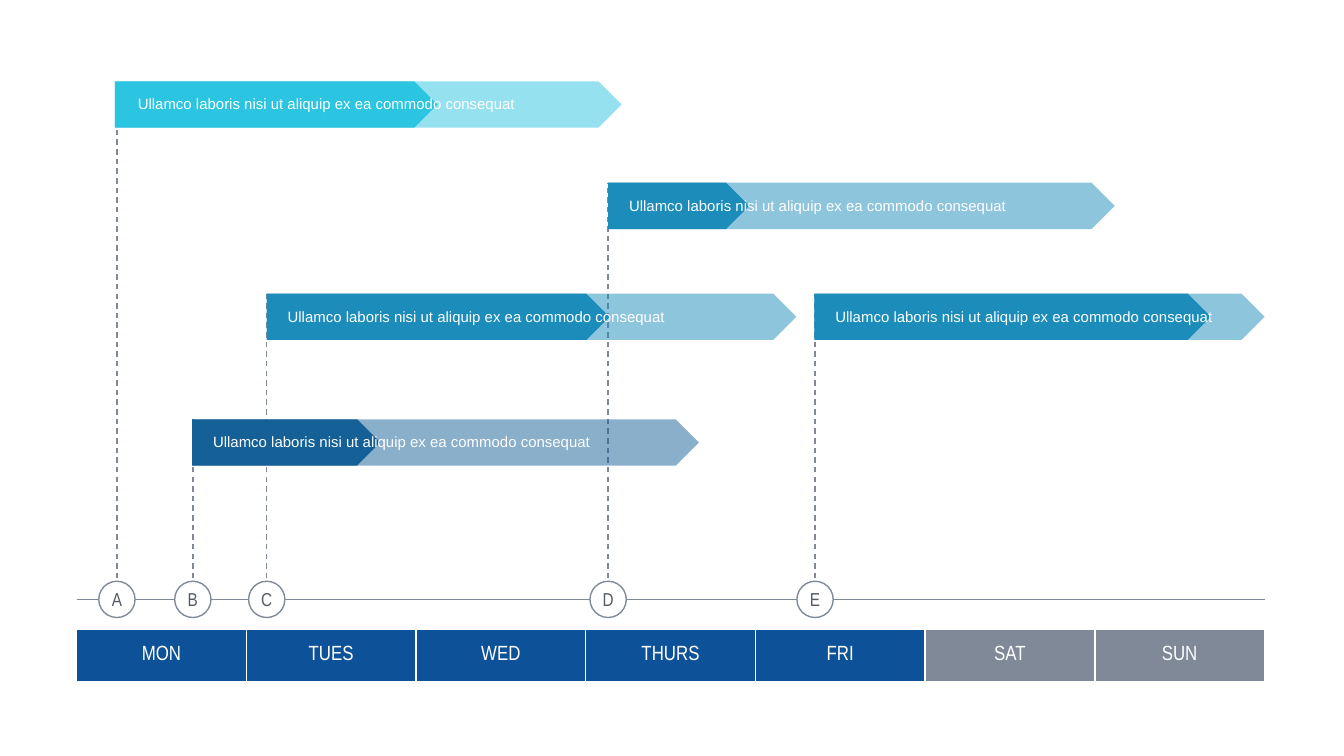
from dataclasses import dataclass

from lxml import etree
from pptx import Presentation
from pptx import util as u
from pptx.dml.color import RGBColor
from pptx.enum import dml, shapes, text
from pptx.oxml.ns import qn

PX = 4572
WHITE = RGBColor(0xFF, 0xFF, 0xFF)
GREY = RGBColor(0x7F, 0x89, 0x98)
INK = RGBColor(0x54, 0x5B, 0x63)
CYAN = RGBColor(0x2C, 0xC5, 0xE1)
BLUE = RGBColor(0x1C, 0x8C, 0xBA)
DEEP_BLUE = RGBColor(0x15, 0x60, 0x97)
NAVY = RGBColor(0x0D, 0x51, 0x99)

AXIS_LEFT, AXIS_WIDTH, AXIS_Y = 114, 1768, 892
BAR_HEIGHT = 69
MARKER_SIZE = 54
CAPTION = "Ullamco laboris nisi ut aliquip ex ea commodo consequat"
WORKDAYS = ["MON", "TUES", "WED", "THURS", "FRI"]
WEEKEND = ["SAT", "SUN"]


@dataclass
class Task:
    letter: str
    marker_x: int
    left: int
    top: int
    width: int
    done: int
    indent: int
    colour: RGBColor


TASKS = [
    Task("D", 905, 905, 272, 754, 210, 23, BLUE),
    Task("C", 397, 397, 437, 788, 510, 23, BLUE),
    Task("A", 174, 171, 121, 754, 480, 26, CYAN),
    Task("B", 287, 286, 624, 754, 280, 23, DEEP_BLUE),
    Task("E", 1213, 1212, 437, 670, 590, 23, BLUE),
]


def px(*lengths: int) -> list[u.Emu]:
    return [u.Emu(length * PX) for length in lengths]


def add_line(page, x1: int, y1: int, x2: int, y2: int, dashed: bool = False) -> None:
    line = page.shapes.add_connector(shapes.MSO_CONNECTOR.STRAIGHT, *px(x1, y1, x2, y2))
    line.line.color.rgb = GREY
    line.line.width = u.Pt(0.75)
    if dashed:
        line.line.dash_style = dml.MSO_LINE.DASH
    etree.SubElement(line._element.spPr, qn("a:effectLst"))


def format_text(para, font: str, size: int, colour: RGBColor, align) -> None:
    para.alignment = align
    for span in para.runs:
        span.font.name = font
        span.font.size = u.Pt(size)
        span.font.color.rgb = colour


def add_label(parent, area: tuple, words: str, side: int, font: str, size: int,
              colour: RGBColor, align) -> None:
    box = parent.shapes.add_textbox(*px(*area))
    frame = box.text_frame
    frame.word_wrap = True
    frame.margin_left, frame.margin_right = px(side, side)
    frame.margin_top, frame.margin_bottom = px(4, 4)
    frame.text = words
    format_text(frame.paragraphs[0], font, size, colour, align)


def add_marker(page, task: Task) -> None:
    add_line(page, task.marker_x, 918, task.marker_x, task.top, dashed=True)
    radius = MARKER_SIZE // 2
    circle = page.shapes.add_shape(
        shapes.MSO_SHAPE.OVAL,
        *px(task.marker_x - radius, AXIS_Y - radius, MARKER_SIZE, MARKER_SIZE))
    circle.shadow.inherit = False
    circle.fill.solid()
    circle.fill.fore_color.rgb = WHITE
    circle.line.color.rgb = GREY
    circle.line.width = u.Pt(0.75)
    add_label(page, (task.marker_x - 26, 871, 52, 40), task.letter, 4,
              "Arial Narrow", 10, INK, text.PP_ALIGN.CENTER)


def add_bar(group, task: Task, width: int, opacity: int) -> None:
    bar = group.shapes.add_shape(
        shapes.MSO_SHAPE.PENTAGON, *px(task.left, task.top, width, BAR_HEIGHT))
    bar.shadow.inherit = False
    bar.fill.solid()
    bar.fill.fore_color.rgb = task.colour
    bar.line.fill.background()
    if opacity < 100:
        colour = bar._element.spPr.find(f"{qn('a:solidFill')}/{qn('a:srgbClr')}")
        etree.SubElement(colour, qn("a:alpha"), val=str(opacity * 1000))


def add_task(page, task: Task) -> None:
    group = page.shapes.add_group_shape()
    add_bar(group, task, task.width, 50)
    add_bar(group, task, task.done, 100)
    add_label(group, (task.left + task.indent, task.top + 16, 622, 36), CAPTION, 8,
              "Arial", 8, WHITE, text.PP_ALIGN.LEFT)


def format_day(cell, day: str) -> None:
    cell.text_frame.text = day
    format_text(cell.text_frame.paragraphs[0], "Arial Narrow", 11, WHITE,
                text.PP_ALIGN.CENTER)
    cell.vertical_anchor = text.MSO_ANCHOR.MIDDLE
    cell.margin_left, cell.margin_right = px(8, 8)
    cell.margin_top, cell.margin_bottom = px(4, 4)
    properties = cell._tc.get_or_add_tcPr()
    for edge in ("a:lnL", "a:lnR", "a:lnT", "a:lnB"):
        border = etree.SubElement(properties, qn(edge), w=str(u.Pt(1)))
        fill = etree.SubElement(border, qn("a:solidFill"))
        etree.SubElement(fill, qn("a:srgbClr"), val=str(WHITE))
    cell.fill.solid()
    cell.fill.fore_color.rgb = GREY if day in WEEKEND else NAVY


def add_week(page) -> None:
    days = WORKDAYS + WEEKEND
    table = page.shapes.add_table(1, len(days), *px(AXIS_LEFT, 937, AXIS_WIDTH, 77)).table
    table.first_row = False
    table.horz_banding = False
    for cell, day in zip(table.iter_cells(), days):
        format_day(cell, day)


def main() -> None:
    deck = Presentation()
    deck.slide_width, deck.slide_height = px(2000, 1125)
    page = deck.slides.add_slide(deck.slide_layouts[6])
    add_line(page, AXIS_LEFT, AXIS_Y, AXIS_LEFT + AXIS_WIDTH, AXIS_Y)
    for task in TASKS:
        add_marker(page, task)
    add_week(page)
    for task in TASKS:
        add_task(page, task)
    deck.save("out.pptx")


if __name__ == "__main__":
    main()
